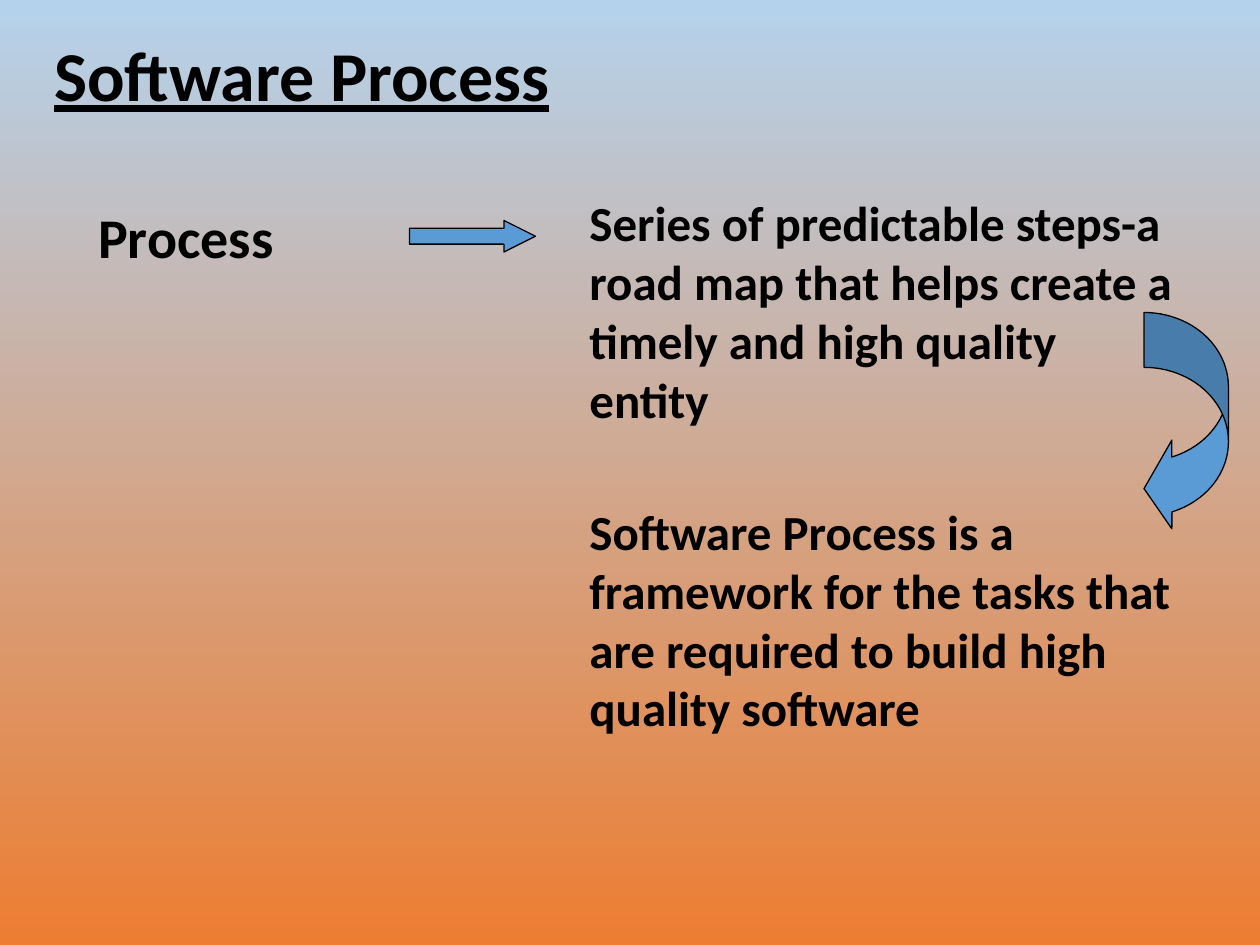
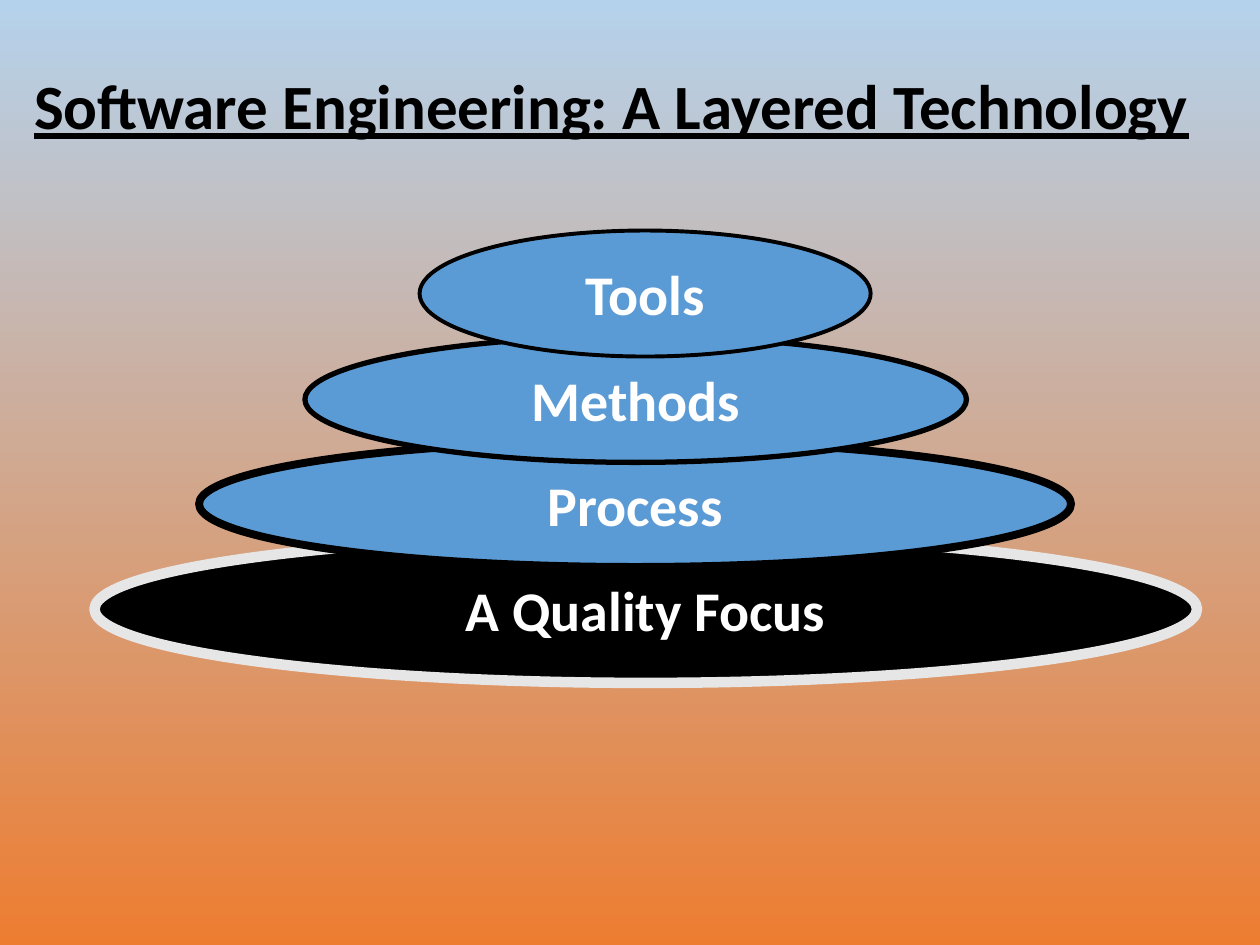
"""Build two slides on the software process and the layers of software engineering."""
from pptx import Presentation
from pptx import util as u
from pptx.dml.color import RGBColor
from pptx.enum import shapes, text

BLACK, WHITE, BLUE, GREY = "000000", "FFFFFF", "5B9BD5", "E7E6E6"
SKY, ORANGE = "B5D2EC", "ED7D31"


def write(paragraph, words, size, colour=BLACK, underline=False):
    run = paragraph.add_run()
    run.text = words
    run.font.name = "Calibri"
    run.font.size = u.Pt(size)
    run.font.bold = True
    run.font.underline = underline
    run.font.color.rgb = RGBColor.from_string(colour)


def add_figure(slide, kind, box, fill, line, weight):
    shape = slide.shapes.add_shape(kind, *map(u.Inches, box))
    shape.shadow.inherit = False
    shape.fill.solid()
    shape.fill.fore_color.rgb = RGBColor.from_string(fill)
    shape.line.color.rgb = RGBColor.from_string(line)
    shape.line.width = u.Pt(weight)
    return shape


presentation = Presentation()
presentation.slide_width = u.Inches(10)
presentation.slide_height = u.Inches(7.5)

background = presentation.slide_master.background.fill
background.gradient()
background.gradient_angle = 270
for stop, colour in zip(background.gradient_stops, (SKY, ORANGE)):
    stop.color.rgb = RGBColor.from_string(colour)

titles = [
    ("Software Process", 40, (0.33, 0.21, 8.5, 0.83)),
    ("Software Engineering: A Layered Technology", 36, (0.17, 0.14, 9.58, 1.45)),
]
for words, size, box in titles:
    slide = presentation.slides.add_slide(presentation.slide_layouts[5])
    title = slide.shapes.title
    title.left, title.top, title.width, title.height = map(u.Inches, box)
    title.text_frame.auto_size = text.MSO_AUTO_SIZE.NONE
    title.text_frame.vertical_anchor = text.MSO_ANCHOR.MIDDLE
    paragraph = title.text_frame.paragraphs[0]
    paragraph.alignment = text.PP_ALIGN.LEFT
    paragraph.line_spacing = 0.9
    write(paragraph, words, size, underline=True)

process_slide, layers_slide = presentation.slides

statements = [
    (" Process", 32, (0.58, 1.56, 8.92, 0.64)),
    ("Series of predictable steps-a road map that helps create a timely and "
     "high quality entity", 28, (4.58, 1.48, 4.83, 1.97)),
    ("Software Process is a framework for the tasks that are required to build "
     "high quality software", 28, (4.58, 3.93, 4.92, 3.39)),
]
for words, size, box in statements:
    frame = process_slide.shapes.add_textbox(*map(u.Inches, box)).text_frame
    frame.word_wrap = True
    paragraph = frame.paragraphs[0]
    paragraph.space_before = u.Pt(size * 0.625)
    write(paragraph, words, size)

arrow = add_figure(process_slide, shapes.MSO_SHAPE.RIGHT_ARROW,
                   (3.25, 1.75, 1, 0.25), BLUE, BLACK, 0.75)
arrow.adjustments[1] = 1
curve = add_figure(process_slide, shapes.MSO_SHAPE.CURVED_LEFT_ARROW,
                   (9.08, 2.48, 0.67, 1.75), BLUE, BLACK, 0.75)
for index, value in enumerate((0.65, 1.05, 0.33)):
    curve.adjustments[index] = value

layers = [
    ("A Quality Focus", (0.75, 4.25, 8.75, 1.17), BLACK, GREY, 6),
    ("Process", (1.58, 3.5, 6.92, 1), BLUE, BLACK, 4.5),
    ("Methods", (2.42, 2.67, 5.25, 1), BLUE, BLACK, 3),
    ("Tools", (3.33, 1.83, 3.58, 1), BLUE, BLACK, 2.25),
]
for words, box, fill, line, weight in layers:
    layer = add_figure(layers_slide, shapes.MSO_SHAPE.OVAL, box, fill, line, weight)
    frame = layer.text_frame
    frame.word_wrap = False
    frame.vertical_anchor = text.MSO_ANCHOR.MIDDLE
    paragraph = frame.paragraphs[0]
    paragraph.alignment = text.PP_ALIGN.CENTER
    write(paragraph, words, 32, WHITE)

presentation.save("out.pptx")
